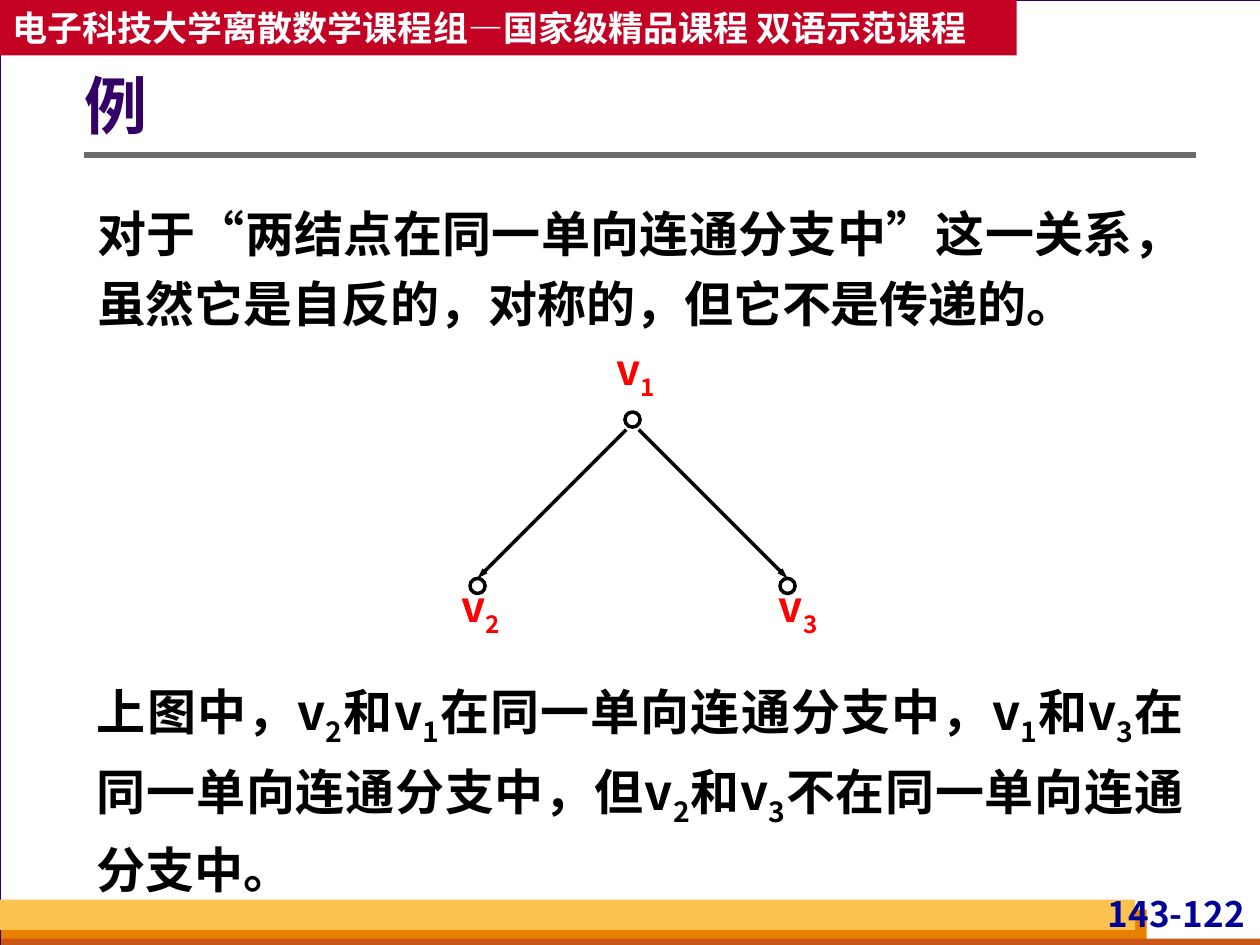
from lxml.etree import SubElement
from pptx import Presentation
from pptx.dml.color import RGBColor
from pptx.enum.shapes import MSO_CONNECTOR, MSO_SHAPE
from pptx.enum.text import MSO_ANCHOR, MSO_AUTO_SIZE, PP_ALIGN
from pptx.oxml.ns import qn
from pptx.util import Inches, Pt

WHITE = RGBColor(0xFF, 0xFF, 0xFF)
BLACK = RGBColor(0, 0, 0)
RED = RGBColor(0xFF, 0, 0)
PURPLE = RGBColor(0x33, 0, 0x66)
NAVY = RGBColor(0, 0, 0x99)
CRIMSON = RGBColor(0xC3, 0x02, 0x24)
GRAY = RGBColor(0x6B, 0x6B, 0x6B)
PAGE_GRAY = RGBColor(0xD8, 0xDA, 0xDA)
ORANGE = RGBColor(0xE8, 0x80, 0)
RUST = RGBColor(0xC9, 0x56, 0x16)
YELLOW = RGBColor(0xFC, 0xC2, 0x4F)
FONT = "Noto Sans CJK SC"


def write(tf, text, size=28, color=BLACK, align=PP_ALIGN.LEFT, spacing=1.0,
          anchor=MSO_ANCHOR.TOP, insets=(0.1, 0.05, 0.1, 0.05), wrap=True):
    """Write one paragraph, setting the character after each underscore as a subscript."""
    tf.word_wrap = wrap
    tf.auto_size = MSO_AUTO_SIZE.NONE
    tf.vertical_anchor = anchor
    tf.margin_left, tf.margin_top, tf.margin_right, tf.margin_bottom = map(Inches, insets)
    p = tf.paragraphs[0]
    p.alignment = align
    p.line_spacing = spacing
    p.space_before = Pt(0)
    pPr = p._p.get_or_add_pPr()
    pPr.set("marL", "0")
    pPr.set("indent", "0")
    SubElement(pPr, qn("a:buNone"))
    head, *rest = text.split("_")
    pieces = [(head, False)]
    for part in rest:
        pieces += [(part[0], True), (part[1:], False)]
    for piece, is_sub in pieces:
        if not piece:
            continue
        r = p.add_run()
        r.text = piece
        r.font.size = Pt(size)
        r.font.bold = True
        r.font.color.rgb = color
        r.font.name = FONT
        rPr = r.font._element
        SubElement(rPr, qn("a:ea"), typeface=FONT)
        if is_sub:
            rPr.set("baseline", "-25000")


class SlideBuilder:
    """Hold the current slide and draw its elements in the lecture style."""

    def __init__(self, prs):
        self.s = prs.slides.add_slide(prs.slide_layouts[1])
        self.s.background.fill.solid()
        self.s.background.fill.fore_color.rgb = PAGE_GRAY
        self.shapes = self.s.shapes

    def start_group(self):
        self.shapes = self.s.shapes.add_group_shape().shapes

    def end_group(self):
        self.shapes = self.s.shapes

    def shape(self, kind, box, fill=None, line=None, width=0.75):
        sp = self.shapes.add_shape(kind, *map(Inches, box))
        sp.shadow.inherit = False
        if fill is None:
            sp.fill.background()
        else:
            sp.fill.solid()
            sp.fill.fore_color.rgb = fill
        if line is None:
            sp.line.fill.background()
        else:
            sp.line.color.rgb = line
            sp.line.width = Pt(width)
        return sp

    def line(self, start, end, color, width, target=None):
        cxn = self.shapes.add_connector(MSO_CONNECTOR.STRAIGHT, *map(Inches, start + end))
        cxn.line.color.rgb = color
        cxn.line.width = Pt(width)
        if target is not None:
            cxn.end_connect(target, 0)
            SubElement(cxn.line._get_or_add_ln(), qn("a:tailEnd"),
                       type="triangle", w="sm", len="med")
        SubElement(cxn._element.spPr, qn("a:effectLst"))

    def text(self, box, text, **style):
        sp = self.shapes.add_textbox(*map(Inches, box))
        write(sp.text_frame, text, **style)

    def placeholder(self, idx, box, text, **style):
        sp = self.s.placeholders[idx]
        sp.left, sp.top, sp.width, sp.height = map(Inches, box)
        self.s.shapes._spTree.append(sp._element)
        write(sp.text_frame, text, **style)

    def node(self, x, y, size=0.12):
        return self.shape(MSO_SHAPE.OVAL, (x - size / 2, y - size / 2, size, size),
                          line=BLACK, width=2)


def main():
    prs = Presentation()
    prs.slide_width, prs.slide_height = Inches(10), Inches(7.5)
    s = SlideBuilder(prs)

    s.shape(MSO_SHAPE.RECTANGLE, (0, 0, 10.01, 7.5), WHITE, PURPLE)
    for box, fill in [((0.01, 7.22, 9.09, 0.28), ORANGE),
                      ((0.01, 7.45, 10, 0.08), RUST),
                      ((0, 7.14, 9.01, 0.24), YELLOW)]:
        s.shape(MSO_SHAPE.RECTANGLE, box, fill)
    s.text((8.7, 7.08, 1.22, 0.38), "143-122", size=20, color=NAVY,
           align=PP_ALIGN.RIGHT, insets=(0.04, 0, 0.04, 0))
    s.line((0.67, 1.23), (9.49, 1.23), GRAY, 3)
    banner = s.shape(MSO_SHAPE.RECTANGLE, (0, 0, 8.07, 0.44), CRIMSON)
    write(banner.text_frame, "电子科技大学离散数学课程组—国家级精品课程 双语示范课程",
          size=20, color=WHITE, anchor=MSO_ANCHOR.MIDDLE, wrap=False)

    s.placeholder(0, (0.67, 0.36, 8.82, 1.01), "例", size=36, color=PURPLE,
                  spacing=0.9, anchor=MSO_ANCHOR.MIDDLE, insets=(0, 0.05, 0.1, 0.05))
    s.placeholder(1, (0.67, 1.47, 8.82, 1.22),
                  "对于“两结点在同一单向连通分支中”这一关系，虽然它是自反的，对称的，但它不是传递的。",
                  align=PP_ALIGN.JUSTIFY, spacing=1.2)

    s.start_group()
    root_x, root_y = 5.02, 3.33
    s.node(root_x, root_y)
    for side in (1, -1):
        child = s.node(root_x + side * 1.23, 4.65)
        s.line((root_x + side * 0.05, root_y + 0.08),
               (root_x + side * 1.23, 4.59), BLACK, 2, target=child)
    for label, x, y in [("v_1", 4.81, 2.73), ("v_2", 3.58, 4.61), ("v_3", 6.1, 4.61)]:
        s.text((x, y, 0.47, 0.59), label, size=24, color=RED,
               align=PP_ALIGN.CENTER, insets=(0, 0, 0, 0))
    s.end_group()

    s.text((0.67, 5.25, 8.82, 1.94),
           "上图中，v_2和v_1在同一单向连通分支中，v_1和v_3在同一单向连通分支中，"
           "但v_2和v_3不在同一单向连通分支中。",
           align=PP_ALIGN.JUSTIFY, spacing=1.2)
    prs.save("out.pptx")


if __name__ == "__main__":
    main()
